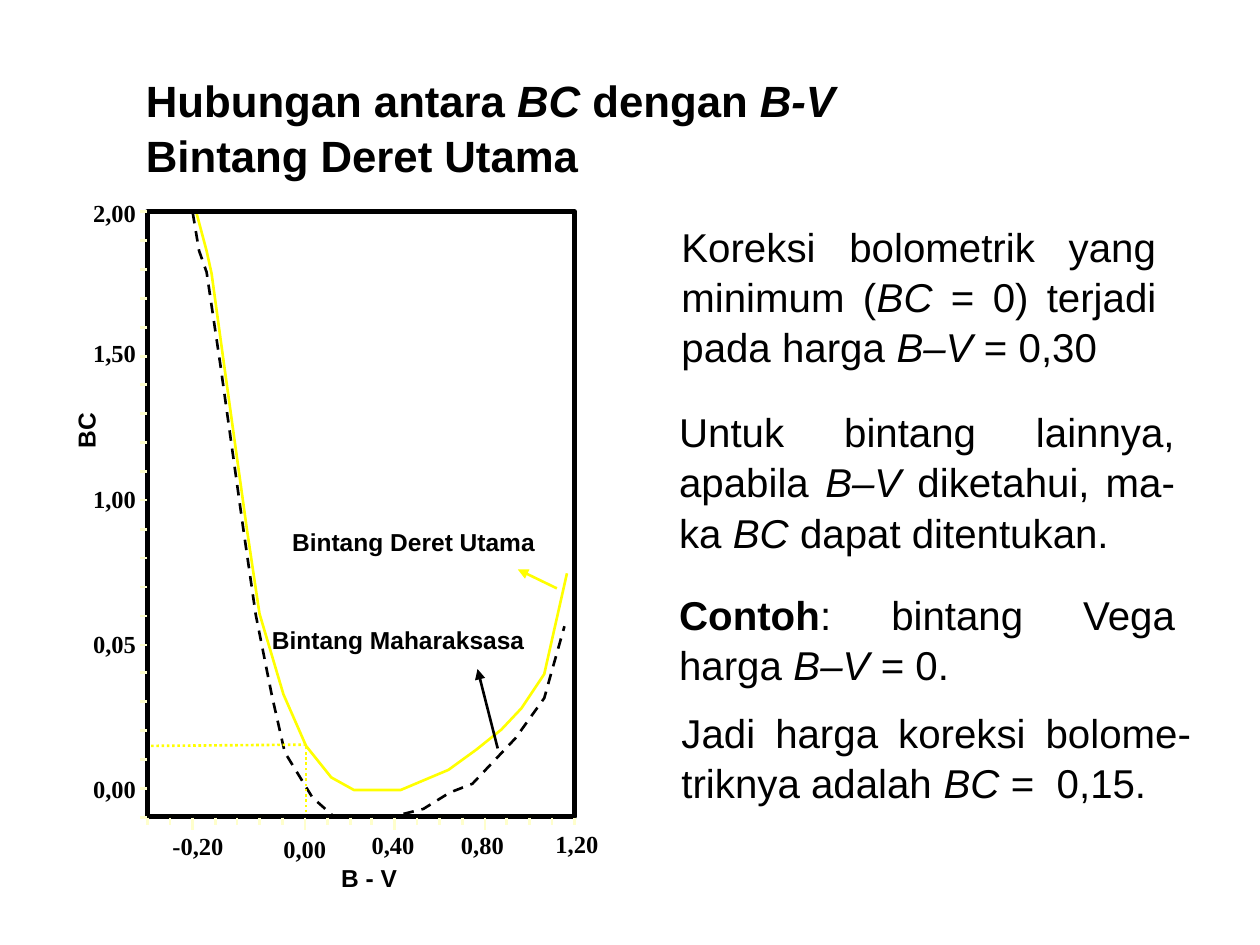
from typing import NamedTuple

from lxml.etree import SubElement
from pptx import Presentation
from pptx.dml.color import RGBColor
from pptx.enum.dml import MSO_LINE
from pptx.enum.shapes import MSO_CONNECTOR, MSO_SHAPE
from pptx.enum.text import PP_ALIGN
from pptx.oxml.ns import qn
from pptx.util import Emu, Pt

PX = 9144
INK = {"black": "000000", "yellow": "FFFF00", "cream": "FFFFCC"}


class Box(NamedTuple):
    x: int
    y: int
    w: int
    h: int


class Curve(NamedTuple):
    ink: str
    dash: MSO_LINE | None
    dots: list[tuple[int, int]]


class Line(NamedTuple):
    start: tuple[int, int]
    end: tuple[int, int]
    ink: str
    dash: MSO_LINE | None = None
    arrow: bool = False


class Label(NamedTuple):
    text: str
    x: int
    y: int
    w: int = 55
    font: str = "Times New Roman"
    turn: int = 0


class Note(NamedTuple):
    text: str
    box: Box
    inset: int
    lead: str = ""


FRAME = Box(117, 168, 339, 480)
BASE = 649
ROWS, COLS = 21, 19
MAJOR = {2, 7, 11, 15}

CURVES = [
    Curve("yellow", None, [
        (156, 169), (164, 199), (168, 217), (178, 290), (196, 420), (206, 487),
        (225, 551), (243, 592), (263, 617), (281, 627), (318, 627), (356, 611),
        (378, 595), (398, 579), (414, 562), (432, 535), (450, 455)]),
    Curve("black", MSO_LINE.DASH, [
        (153, 169), (158, 199), (164, 216), (175, 290), (193, 419), (203, 488),
        (216, 553), (226, 597), (248, 633), (265, 648), (312, 648), (336, 642),
        (357, 629), (375, 622), (409, 586), (432, 554), (437, 536), (448, 497)]),
]

LINES = [
    Line((442, 467), (411, 452), "yellow", arrow=True),
    Line((395, 594), (379, 531), "black", arrow=True),
    Line((243, BASE), (243, 591), "yellow", MSO_LINE.ROUND_DOT),
    Line((243, 591), (119, 592), "yellow", MSO_LINE.ROUND_DOT),
]

LABELS = [
    Label("Bintang Deret Utama", 222, 413, 228, "Arial"),
    Label("Bintang Maharaksasa", 206, 491, 236, "Arial"),
    Label("B - V", 261, 680, 71, "Arial"),
    Label("BC", 33, 313, 71, "Arial", 270),
    Label("2,00", 64, 152),
    Label("1,50", 64, 263),
    Label("1,00", 64, 379),
    Label("0,05", 64, 494),
    Label("0,00", 64, 609),
    Label("-0,20", 127, 655, 63),
    Label("0,00", 215, 657),
    Label("0,40", 285, 654),
    Label("0,80", 356, 654),
    Label("1,20", 431, 653),
]

NOTES = [
    Note("Koreksi bolometrik yang minimum (*BC* = 0) terjadi pada harga *B–V* = 0,30",
         Box(531, 170, 397, 125), 10),
    Note("Untuk bintang lainnya, apabila *B–V* diketahui, ma-ka *BC* dapat ditentukan.",
         Box(539, 317, 394, 125), 0),
    Note(": bintang Vega harga *B–V* = 0.", Box(539, 462, 394, 87), 0, "Contoh"),
    Note("Jadi harga koreksi bolome-triknya adalah *BC *=  0,15.",
         Box(531, 556, 425, 87), 10),
]


def color(ink: str) -> RGBColor:
    return RGBColor.from_string(INK[ink])


def style(line, ink: str, width: float = 1.5, dash: MSO_LINE | None = None) -> None:
    line.color.rgb = color(ink)
    line.width = Pt(width)
    if dash is not None:
        line.dash_style = dash


def write(slide, text: str, box: Box, *, size: int, font: str = "Arial",
          bold: bool = False, lead: str = "", align=PP_ALIGN.LEFT,
          inset: int = 10, before: float = 0, pitch: float = 1, turn: int = 0) -> None:
    shape = slide.shapes.add_textbox(*(Emu(v * PX) for v in box))
    shape.rotation = turn
    frame = shape.text_frame
    frame.word_wrap = True
    frame.margin_left = frame.margin_right = Emu(inset * PX)
    frame.margin_top = frame.margin_bottom = Emu(5 * PX)
    para = frame.paragraphs[0]
    para.alignment = align
    para.space_before = Pt(before)
    para.line_spacing = pitch
    parts = [(lead, True, False)]
    parts += [(part, bold, n % 2 == 1) for n, part in enumerate(text.split("*"))]
    for part, heavy, slant in parts:
        if part:
            run = para.add_run()
            run.text = part
            run.font.name = font
            run.font.size = Pt(size)
            run.font.bold = heavy
            run.font.italic = slant
            run.font.color.rgb = color("black")


def trace(slide, curve: Curve) -> None:
    first, *rest = curve.dots
    pen = slide.shapes.build_freeform(*first, scale=PX)
    pen.add_line_segments(rest, close=False)
    shape = pen.convert_to_shape()
    shape.shadow.inherit = False
    shape.fill.background()
    style(shape.line, curve.ink, dash=curve.dash)


def link(slide, line: Line) -> None:
    ends = (Emu(v * PX) for v in line.start + line.end)
    wire = slide.shapes.add_connector(MSO_CONNECTOR.STRAIGHT, *ends)
    style(wire.line, line.ink, dash=line.dash)
    props = wire._element.spPr
    if line.arrow:
        SubElement(props.find(qn("a:ln")), qn("a:tailEnd"), type="triangle")
    SubElement(props, qn("a:effectLst"))


def plot(slide) -> None:
    shape = slide.shapes.add_shape(MSO_SHAPE.RECTANGLE, *(Emu(v * PX) for v in FRAME))
    shape.shadow.inherit = False
    shape.fill.background()
    style(shape.line, "black", 2.5)
    for row in range(ROWS + 1):
        y = round(BASE - row * (BASE - FRAME.y) / ROWS)
        link(slide, Line((FRAME.x - 6, y), (FRAME.x, y), "cream"))
    for col in range(COLS + 1):
        x = round(FRAME.x + col * FRAME.w / COLS)
        drop = 10 if col in MAJOR else 6
        link(slide, Line((x, BASE), (x, BASE + drop), "cream"))


def main() -> None:
    deck = Presentation()
    deck.slide_width, deck.slide_height = Emu(1000 * PX), Emu(750 * PX)
    slide = deck.slides.add_slide(deck.slide_layouts[6])
    write(slide, "Hubungan antara *BC* dengan *B-V* Bintang Deret Utama",
          Box(106, 52, 575, 94), size=25, bold=True, before=15.6, pitch=1.04)
    for note in NOTES:
        write(slide, note.text, note.box, size=23, lead=note.lead, inset=note.inset,
              align=PP_ALIGN.JUSTIFY, before=14.4, pitch=1.04)
    for curve in CURVES:
        trace(slide, curve)
    for line in LINES:
        link(slide, line)
    plot(slide)
    for label in LABELS:
        write(slide, label.text, Box(label.x, label.y, label.w, 34), size=14,
              font=label.font, bold=True, before=8.8, turn=label.turn)
    deck.save("out.pptx")


if __name__ == "__main__":
    main()
